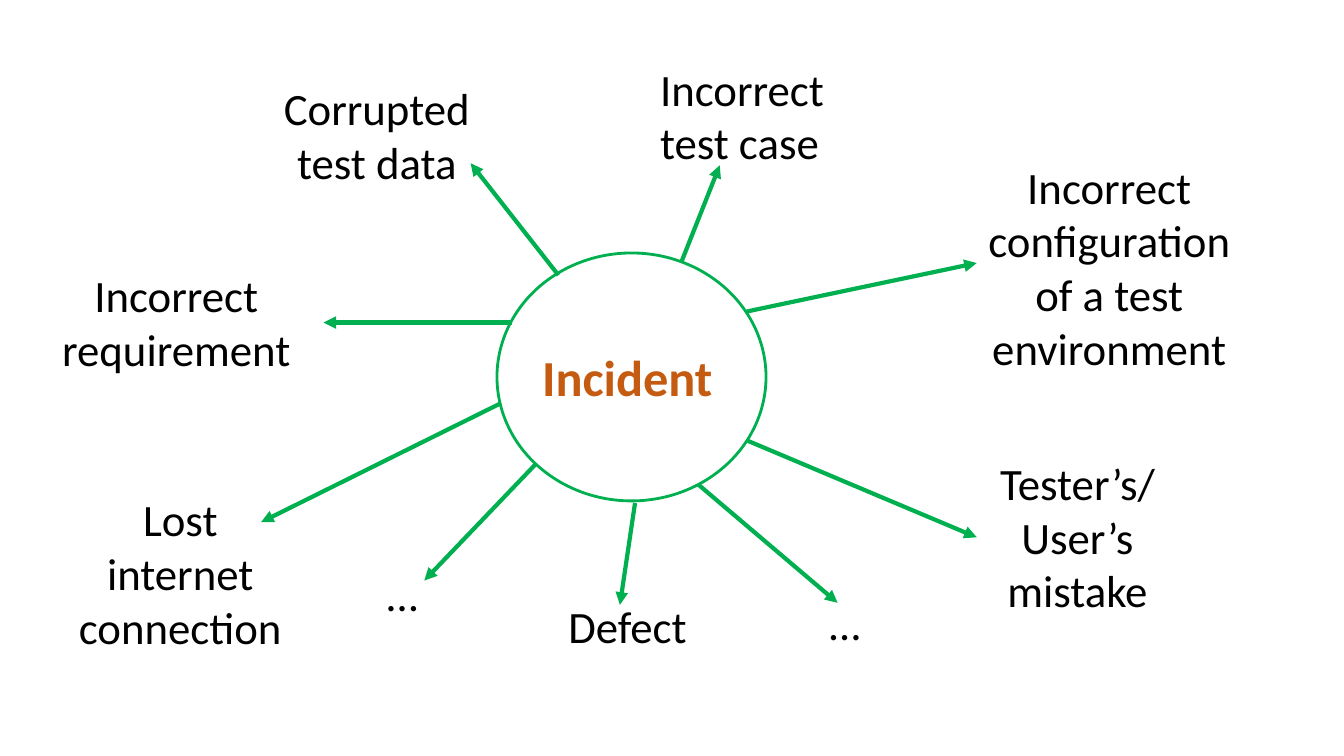
"""Build a slide that maps an incident to its possible causes."""
from dataclasses import dataclass

from lxml.etree import SubElement
from pptx import Presentation
from pptx.dml.color import RGBColor
from pptx.enum.shapes import MSO_CONNECTOR, MSO_SHAPE
from pptx.enum.text import MSO_AUTO_SIZE, PP_ALIGN
from pptx.oxml.ns import qn
from pptx.slide import Slide
from pptx.util import Pt

COLOURS = {"cause": "000000", "incident": "C55A11", "green": "00B050"}
FONT = "Calibri"


@dataclass(frozen=True)
class Label:
    """A text box with its place in points."""

    text: str
    left: float
    top: float
    width: float
    height: float
    align: PP_ALIGN = PP_ALIGN.CENTER
    size: float = 32
    bold: bool = False
    colour: str = "cause"


@dataclass(frozen=True)
class Arrow:
    """An arrow from the circle to a cause, in points."""

    start: tuple[float, float]
    end: tuple[float, float]


LEFT = PP_ALIGN.LEFT
CAUSES = [
    Label("Defect", 398.9, 424.1, 119.5, 46.1, LEFT),
    Label("Incorrect requirement", 24.5, 187.9, 203, 85),
    Label("Incorrect test case", 464.4, 40.3, 144, 85, LEFT),
    Label("Incorrect configuration of a test environment", 691.9, 110.2, 200.9, 162.7),
    Label("Lost internet connection", 48.2, 347.8, 161.3, 123.8),
    Label("Tester’s/User’s mistake", 697.7, 321.8, 144, 123.8),
    Label("…", 269.3, 401, 46.1, 46.1, LEFT),
    Label("…", 585.4, 421.9, 46.1, 46.1, LEFT),
    Label("Corrupted test data", 192.2, 54, 154.1, 85),
]
INCIDENT = Label("Incident", 380.2, 243.4, 141.1, 51.1, LEFT, 36, True, "incident")
ARROWS = [
    Arrow((398.9, 196.6), (336.2, 116.6)),
    Arrow((486.7, 187.2), (514.1, 118.1)),
    Arrow((533.5, 222.5), (697.7, 187.9)),
    Arrow((533.5, 314.6), (697.7, 383.8)),
    Arrow((453.6, 359.3), (442.8, 432)),
    Arrow((499, 346.3), (598.3, 430.6)),
    Arrow((382.3, 331.9), (303.1, 414.7)),
    Arrow((357.8, 288), (186.5, 373)),
    Arrow((365.8, 230.4), (231.1, 230.4)),
]


def colour_of(name: str) -> RGBColor:
    """Return the named colour."""
    return RGBColor.from_string(COLOURS[name])


def add_label(page: Slide, label: Label) -> None:
    """Add one wrapped text box."""
    box = page.shapes.add_textbox(
        Pt(label.left), Pt(label.top), Pt(label.width), Pt(label.height)
    )
    frame = box.text_frame
    frame.word_wrap = True
    frame.auto_size = MSO_AUTO_SIZE.SHAPE_TO_FIT_TEXT
    para = frame.paragraphs[0]
    para.text = label.text
    para.alignment = label.align
    para.font.name = FONT
    para.font.size = Pt(label.size)
    para.font.bold = label.bold
    para.font.color.rgb = colour_of(label.colour)


def add_circle(page: Slide) -> None:
    """Add the outlined circle around the incident."""
    circle = page.shapes.add_shape(
        MSO_SHAPE.OVAL, Pt(355), Pt(180.7), Pt(192.2), Pt(177.1)
    )
    circle.shadow.inherit = False
    circle.fill.background()
    circle.line.color.rgb = colour_of("green")
    circle.line.width = Pt(2)


def add_arrow(page: Slide, arrow: Arrow) -> None:
    """Add one line with a triangular head at its end."""
    connector = page.shapes.add_connector(
        MSO_CONNECTOR.STRAIGHT, *(Pt(value) for value in arrow.start + arrow.end)
    )
    connector.line.color.rgb = colour_of("green")
    connector.line.width = Pt(3)
    SubElement(connector.line._get_or_add_ln(), qn("a:tailEnd"), type="triangle")
    SubElement(connector._element.spPr, qn("a:effectLst"))


def main() -> None:
    """Build and save the deck."""
    deck = Presentation()
    deck.slide_width, deck.slide_height = Pt(960), Pt(540)
    page = deck.slides.add_slide(deck.slide_layouts.get_by_name("Blank"))
    for cause in CAUSES:
        add_label(page, cause)
    add_circle(page)
    add_label(page, INCIDENT)
    for arrow in ARROWS:
        add_arrow(page, arrow)
    deck.save("out.pptx")


if __name__ == "__main__":
    main()
